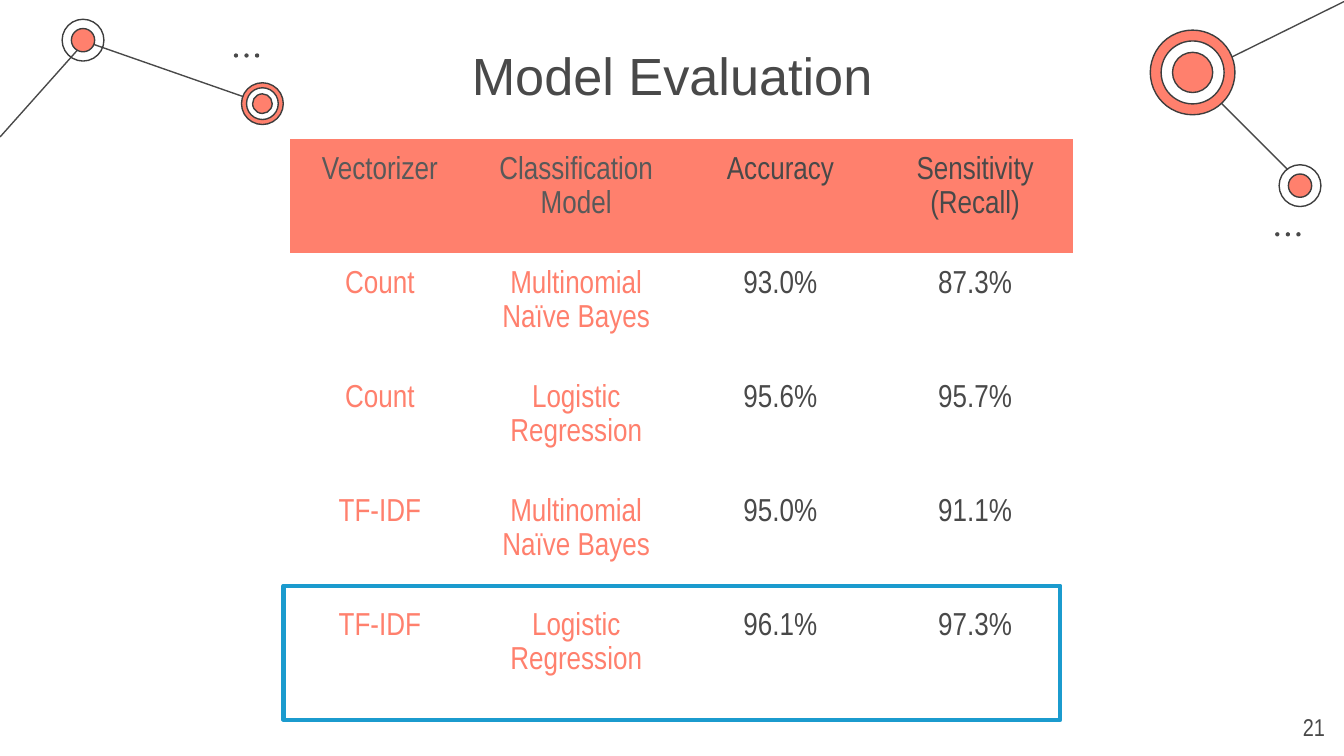
from dataclasses import dataclass

from lxml.etree import SubElement
from pptx import Presentation
from pptx.dml.color import RGBColor
from pptx.enum.shapes import MSO_CONNECTOR, MSO_SHAPE
from pptx.enum.text import MSO_ANCHOR, PP_ALIGN
from pptx.oxml.ns import qn
from pptx.util import Cm, Pt


@dataclass(frozen=True)
class Theme:
    coral: RGBColor = RGBColor(0xFF, 0x80, 0x6D)
    dark: RGBColor = RGBColor(0x49, 0x49, 0x49)
    outline: RGBColor = RGBColor(0x3D, 0x3D, 0x3D)
    gray: RGBColor = RGBColor(0x59, 0x59, 0x59)
    white: RGBColor = RGBColor(0xFF, 0xFF, 0xFF)
    blue: RGBColor = RGBColor(0x1B, 0x9B, 0xCE)
    heading_font: str = "Arial"
    body_font: str = "Arial Narrow"
    title_size: int = 28
    table_size: int = 17
    number_size: int = 13


theme = Theme()


def write_text(frame, text, *, size, color, font=theme.body_font,
               align=PP_ALIGN.CENTER, spacing=1.0):
    frame.word_wrap = True
    frame.margin_left = frame.margin_right = Cm(0.25)
    frame.margin_top = frame.margin_bottom = Cm(0.25)
    para = frame.paragraphs[0]
    para.alignment = align
    para.line_spacing = spacing
    span = para.add_run()
    span.text = text
    span.font.name = font
    span.font.size = Pt(size)
    span.font.color.rgb = color


def add_disc(page, x, y, diameter, *, fill=None, line=None):
    left, top = x - diameter / 2, y - diameter / 2
    disc = page.shapes.add_shape(
        MSO_SHAPE.OVAL, Cm(left), Cm(top), Cm(diameter), Cm(diameter))
    disc.shadow.inherit = False
    if fill is None:
        disc.fill.background()
    else:
        disc.fill.solid()
        disc.fill.fore_color.rgb = fill
    if line is None:
        disc.line.fill.background()
    else:
        disc.line.color.rgb = line
        disc.line.width = Pt(0.75)


deck = Presentation()
deck.slide_width = Cm(25.4)
deck.slide_height = Cm(14.29)
page = deck.slides.add_slide(deck.slide_layouts[6])
page.background.fill.solid()
page.background.fill.fore_color.rgb = theme.white

links = [
    (24.56, 3.43, 22.53, 1.4),
    (1.63, 0.79, 4.98, 1.96),
    (0, 2.59, 1.63, 0.76),
    (25.4, 0.03, 22.63, 1.4),
]
for ends in links:
    link = page.shapes.add_connector(
        MSO_CONNECTOR.STRAIGHT, *[Cm(value) for value in ends])
    link.line.color.rgb = theme.dark
    link.line.width = Pt(0.75)
    SubElement(link._element.spPr, qn("a:effectLst"))

targets = [
    (1.57, 0.76, [(0.79, None), (0.44, theme.coral)]),
    (4.96, 1.96, [(0.79, theme.coral), (0.6, theme.white), (0.37, theme.coral)]),
    (22.54, 1.37, [(1.6, theme.coral), (1.19, theme.white), (0.76, theme.coral)]),
    (24.57, 3.51, [(0.79, theme.white), (0.44, theme.coral)]),
]
for x, y, rings in targets:
    for diameter, fill in rings:
        add_disc(page, x, y, diameter, fill=fill, line=theme.outline)

for x, y in [(4.46, 1.05), (24.14, 4.43)]:
    for index in range(3):
        add_disc(page, x + 0.2 * index, y, 0.08, fill=theme.dark)

title_box = page.shapes.add_textbox(Cm(2), Cm(0.61), Cm(21.4), Cm(1.6))
title_box.text_frame.vertical_anchor = MSO_ANCHOR.MIDDLE
write_text(title_box.text_frame, "Model Evaluation", size=theme.title_size,
           color=theme.dark, font=theme.heading_font)

number_box = page.shapes.add_textbox(Cm(23.77), Cm(13.18), Cm(1.52), Cm(1.1))
number_box.text_frame.vertical_anchor = MSO_ANCHOR.MIDDLE
write_text(number_box.text_frame, "21", size=theme.number_size,
           color=theme.dark, align=PP_ALIGN.RIGHT)

results = [
    ("Vectorizer", "Classification Model", "Accuracy", "Sensitivity (Recall)"),
    ("Count", "Multinomial Naïve Bayes", "93.0%", "87.3%"),
    ("Count", "Logistic Regression", "95.6%", "95.7%"),
    ("TF-IDF", "Multinomial Naïve Bayes", "95.0%", "91.1%"),
    ("TF-IDF", "Logistic Regression", "96.1%", "97.3%"),
]
widths = [3.38, 4.04, 3.68, 3.68]
heights = [2.08] + [2.1] * 4
table = page.shapes.add_table(
    len(results), len(widths), Cm(5.49), Cm(2.62),
    Cm(sum(widths)), Cm(sum(heights))).table
table.first_row = table.horz_banding = False
style = table._tbl.tblPr.find(qn("a:tableStyleId"))
style.text = "{2D5ABB26-0587-4C30-8999-92F81FD0307C}"
for column, width in zip(table.columns, widths):
    column.width = Cm(width)
for row_index, labels in enumerate(results):
    table.rows[row_index].height = Cm(heights[row_index])
    label_color = theme.coral if row_index else theme.gray
    for column_index, label in enumerate(labels):
        cell = table.cell(row_index, column_index)
        cell.margin_left = cell.margin_right = Cm(0.25)
        cell.margin_top = cell.margin_bottom = Cm(0.25)
        if row_index:
            cell.fill.background()
        else:
            cell.fill.solid()
            cell.fill.fore_color.rgb = theme.coral
        write_text(cell.text_frame, label, size=theme.table_size, spacing=1.15,
                   color=label_color if column_index < 2 else theme.dark)

best_row = page.shapes.add_shape(
    MSO_SHAPE.RECTANGLE, Cm(5.36), Cm(11.07), Cm(14.68), Cm(2.54))
best_row.shadow.inherit = False
best_row.fill.background()
best_row.line.color.rgb = theme.blue
best_row.line.width = Pt(2.25)

deck.save("out.pptx")
